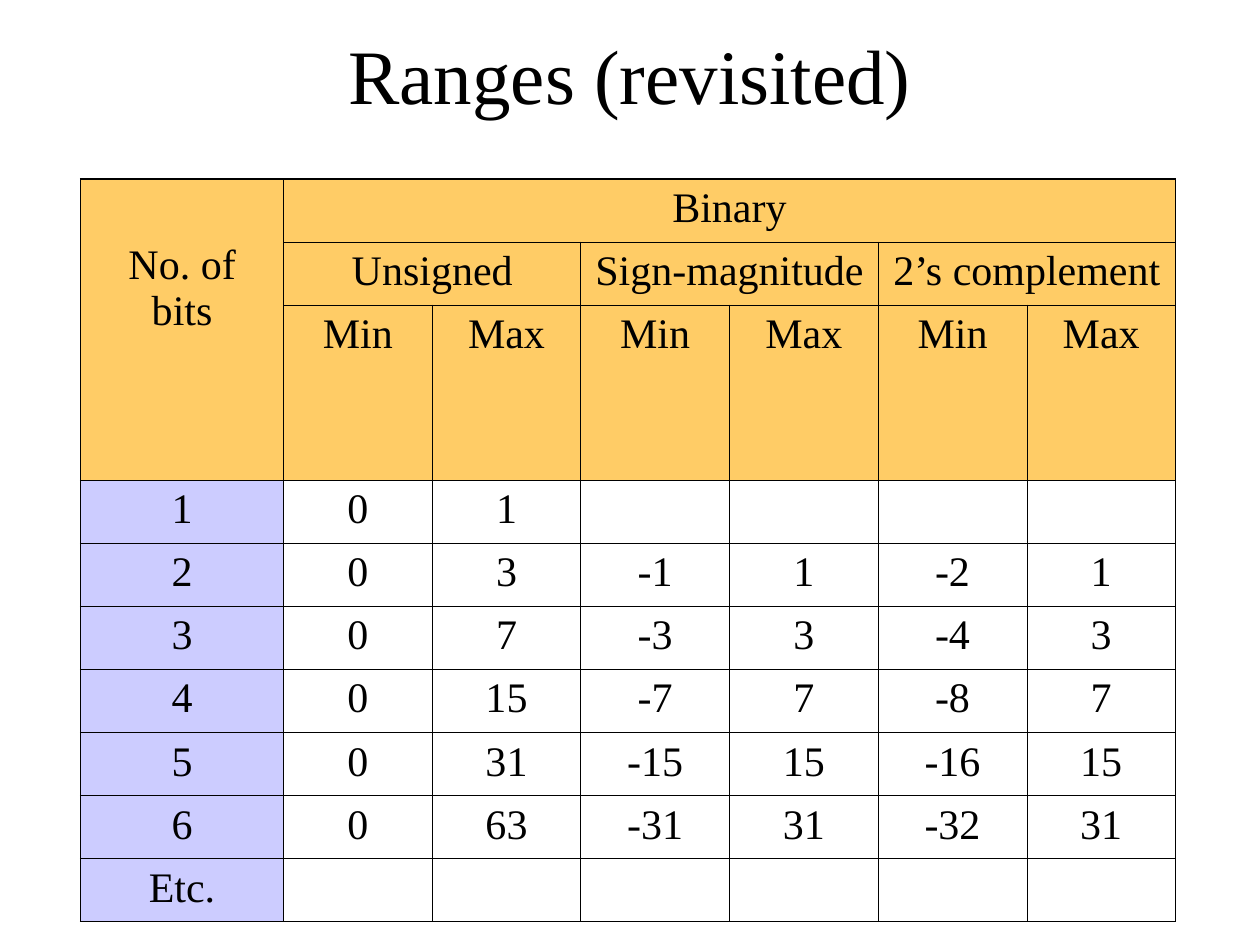
from lxml import etree
from pptx import Presentation, util as u
from pptx.dml.color import RGBColor
from pptx.enum import text
from pptx.oxml.ns import qn

BLACK = RGBColor(0x00, 0x00, 0x00)
GOLD = RGBColor(0xFF, 0xCC, 0x66)
LILAC = RGBColor(0xCC, 0xCC, 0xFF)

THIN, THICK = 0.45, 1.08
HEAD_ROWS = 3
COLS = [1.61] + [1.18] * 6
ROWS = [0.5, 0.5, 1.39] + [0.5] * 7
# row, column, rows spanned, columns spanned
SPANS = [(0, 0, 3, 1), (0, 1, 1, 6), (1, 1, 1, 2), (1, 3, 1, 2), (1, 5, 1, 2)]


def write(frame, words, size=24, font="Times New Roman", color=BLACK,
          align=text.PP_ALIGN.CENTER):
    par = frame.paragraphs[0]
    par.alignment = align
    run = par.add_run()
    run.text = words
    run.font.size = u.Pt(size)
    run.font.name = font
    run.font.color.rgb = color


def border(cell, sides):
    """Draw the cell's edges; sides maps L, R, T, B to widths in points."""
    props = cell._tc.get_or_add_tcPr()
    for side, width in sides.items():
        line = etree.SubElement(props, qn(f"a:ln{side}"), w=str(u.Pt(width)))
        fill = etree.SubElement(line, qn("a:solidFill"))
        etree.SubElement(fill, qn("a:srgbClr"), val=str(BLACK))


def ranges():
    """Rows of the table, from the header down to Etc."""
    rows = [
        ["No. of bits", "Binary"],
        ["", "Unsigned", "", "Sign-magnitude", "", "2’s complement"],
        [""] + ["Min", "Max"] * 3,
        ["1", "0", "1"],
    ]
    for bits in range(2, 7):
        half = 2 ** (bits - 1)
        top = half - 1
        rows.append([str(n) for n in (bits, 0, 2 * half - 1, -top, top, -half, top)])
    rows.append(["Etc."])
    return [row + [""] * (len(COLS) - len(row)) for row in rows]


class Deck:
    def __init__(self):
        self.show = Presentation()
        self.show.slide_width = u.Inches(10)
        self.show.slide_height = u.Inches(7.5)
        self.slide = self.show.slides.add_slide(self.show.slide_layouts[6])

    def title(self, words, *box):
        frame = self.slide.shapes.add_textbox(*map(u.Inches, box)).text_frame
        frame.word_wrap = True
        frame.vertical_anchor = text.MSO_ANCHOR.MIDDLE
        write(frame, words, size=44)

    def table(self, rows, left, top):
        box = map(u.Inches, (left, top, sum(COLS), sum(ROWS)))
        grid = self.slide.shapes.add_table(len(ROWS), len(COLS), *box).table
        grid.first_row = grid.horz_banding = False
        for col, width in zip(grid.columns, COLS):
            col.width = u.Inches(width)
        for row, height in zip(grid.rows, ROWS):
            row.height = u.Inches(height)
        for r, c, tall, wide in SPANS:
            grid.cell(r, c).merge(grid.cell(r + tall - 1, c + wide - 1))
        for r, row in enumerate(rows):
            for c, words in enumerate(row):
                self.cell(grid.cell(r, c), r, c, words)
        grid.cell(0, 0).margin_top = u.Inches(0.5)

    def cell(self, cell, r, c, words):
        right = c + cell.span_width if cell.is_merge_origin else c + 1
        edges = {"L": c == 0, "R": right == len(COLS),
                 "T": r == 0, "B": r == len(ROWS) - 1}
        border(cell, {side: THICK if outer else THIN
                      for side, outer in edges.items()})
        if r < HEAD_ROWS or c == 0:
            cell.fill.solid()
            cell.fill.fore_color.rgb = GOLD if r < HEAD_ROWS else LILAC
        else:
            cell.fill.background()
        if words:
            write(cell.text_frame, words)


def main():
    deck = Deck()
    deck.title("Ranges (revisited)", 0.75, 0.17, 8.5, 0.83)
    deck.table(ranges(), 0.64, 1.42)
    deck.show.save("out.pptx")


if __name__ == "__main__":
    main()
